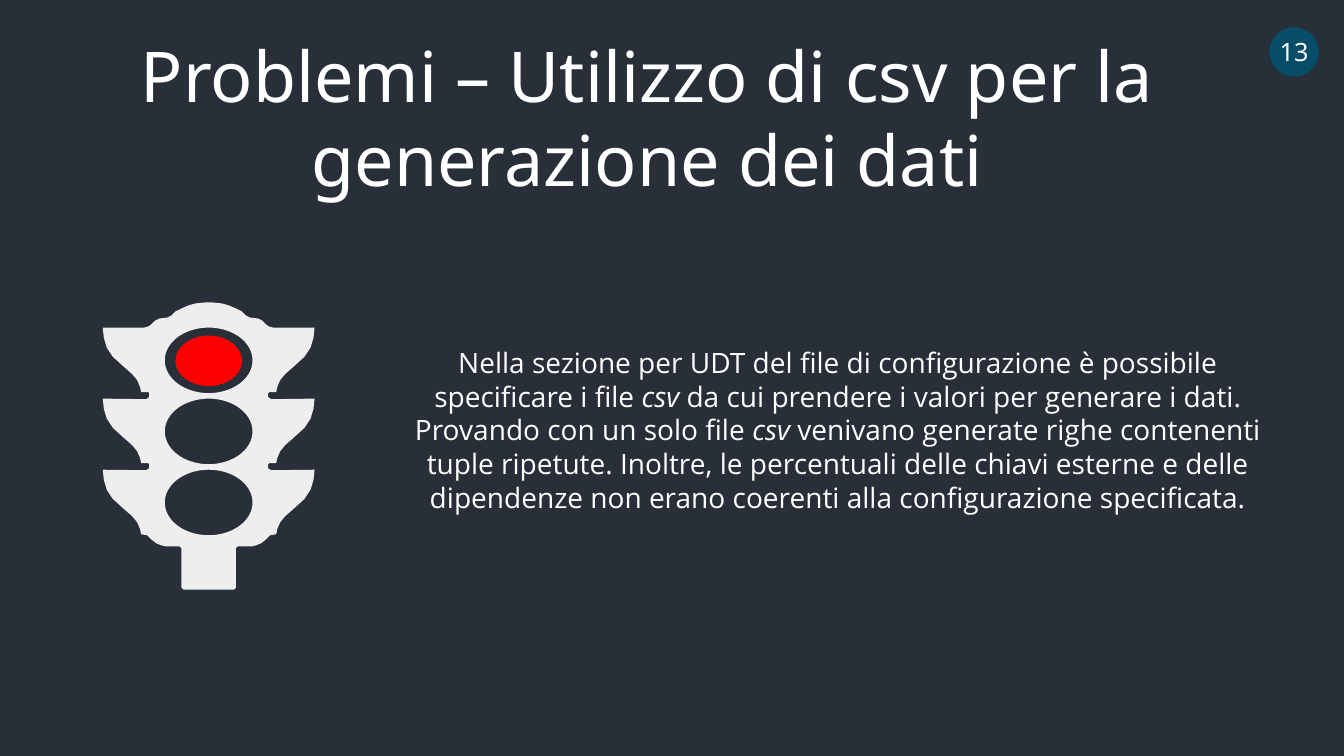
"""Build a slide about a csv data generation problem, with a red traffic light."""
from math import cos, pi, sin

from pptx import Presentation
from pptx.dml.color import RGBColor
from pptx.enum.shapes import MSO_SHAPE
from pptx.enum.text import MSO_ANCHOR, PP_ALIGN
from pptx.util import Inches, Pt

NIGHT = RGBColor(0x28, 0x2F, 0x39)
WHITE = RGBColor(0xFF, 0xFF, 0xFF)
HOUSING = RGBColor(0xEE, 0xEE, 0xEE)
RED = RGBColor(0xFF, 0x00, 0x00)
TEAL = RGBColor(0x07, 0x4D, 0x67)

TITLE = "Problemi – Utilizzo di csv per la generazione dei dati"
EXPLANATION = [
    [("Nella sezione per UDT del file di configurazione è possibile "
      "specificare i file ", False),
     ("csv ", True),
     ("da cui prendere i valori per generare i dati.", False)],
    [("Provando con un solo file ", False),
     ("csv ", True),
     ("venivano generate righe contenenti tuple ripetute. Inoltre, le "
      "percentuali delle chiavi esterne e delle dipendenze non erano "
      "coerenti alla configurazione specificata.", False)],
]

AXIS = 2.07
TIERS = [3.25 + 0.705 * tier for tier in range(3)]
DOME = [(0.03, 3), (0.13, 3.01), (0.2, 3.03), (0.27, 3.06), (0.33, 3.09),
        (0.37, 3.13), (0.41, 3.15), (0.49, 3.16), (0.53, 3.18),
        (0.57, 3.22), (0.6, 3.24), (0.64, 3.25)]
WING = [(1.05, 0), (1.04, 0.1), (1.01, 0.2), (0.95, 0.29), (0.84, 0.39),
        (0.76, 0.46), (0.71, 0.52), (0.68, 0.59), (0.67, 0.64)]
NOTCH = [(0.6, 0.64), (0.59, 0.65), (0.59, 0.69), (0.62, 0.71)]
POST = [(0.61, 5.31), (0.57, 5.35), (0.52, 5.39), (0.47, 5.41),
        (0.43, 5.42), (0.29, 5.42), (0.27, 5.44), (0.27, 5.83), (0.25, 5.85)]


def write(shape, paragraphs, **font_format):
    """Fill a shape with centred paragraphs of (text, italic) runs."""
    frame = shape.text_frame
    color = font_format.pop("color", WHITE)
    for index, runs in enumerate(paragraphs):
        paragraph = frame.add_paragraph() if index else frame.paragraphs[0]
        paragraph.alignment = PP_ALIGN.CENTER
        for text, italic in runs:
            run = paragraph.add_run()
            run.text = text
            run.font.color.rgb = color
            for key, value in {**font_format, "italic": italic}.items():
                setattr(run.font, key, value)


def add_text(slide, box, paragraphs, **font_format):
    """Add a wrapping text box."""
    passage = slide.shapes.add_textbox(*map(Inches, box))
    passage.text_frame.word_wrap = True
    write(passage, paragraphs, **font_format)


def paint(shape, color):
    """Give a shape a flat fill without outline or shadow."""
    shape.shadow.inherit = False
    shape.fill.solid()
    shape.fill.fore_color.rgb = color
    shape.line.fill.background()


def add_disc(shapes, box, color):
    """Add a flat ellipse."""
    disc = shapes.add_shape(MSO_SHAPE.OVAL, *map(Inches, box))
    paint(disc, color)
    return disc


def housing_outline():
    """Return the outline of the housing, mirrored about its axis."""
    half = list(DOME)
    for top in TIERS:
        parts = WING if top == TIERS[-1] else WING + NOTCH
        half += [(reach, top + drop) for reach, drop in parts]
    half += POST
    right = [(AXIS + reach, y) for reach, y in half]
    left = [(AXIS - reach, y) for reach, y in reversed(half)]
    return right + left


def lens_opening(top, steps=72):
    """Return the points of the elliptical opening in one tier."""
    angles = [-2 * pi * step / steps for step in range(steps)]
    return [(AXIS + 0.435 * cos(angle), top + 0.325 + 0.325 * sin(angle))
            for angle in angles]


def add_traffic_light(slide):
    """Add the traffic light with only its top lamp lit."""
    light = slide.shapes.add_group_shape().shapes
    contours = [housing_outline()] + [lens_opening(top) for top in TIERS]
    contours = [[(Inches(x), Inches(y)) for x, y in contour]
                for contour in contours]
    builder = light.build_freeform(*contours[0][0])
    builder.add_line_segments(contours[0][1:])
    for opening in contours[1:]:
        builder.move_to(*opening[0])
        builder.add_line_segments(opening[1:])
    paint(builder.convert_to_shape(), HOUSING)
    for top, color in ((3.33, RED), (4.02, NIGHT), (4.75, NIGHT)):
        add_disc(light, (1.74, top, 0.66, 0.5), color)


def add_page_number(slide, number):
    """Add the round page number badge."""
    badge = add_disc(slide.shapes, (12.59, 0.27, 0.49, 0.49), TEAL)
    badge.text_frame.word_wrap = False
    badge.text_frame.vertical_anchor = MSO_ANCHOR.MIDDLE
    write(badge, [[(number, False)]], name="Noto Sans", size=Pt(18))


def main():
    """Build and save the slide."""
    deck = Presentation()
    deck.slide_width, deck.slide_height = Inches(13.33), Inches(7.5)
    slide = deck.slides.add_slide(deck.slide_layouts[6])
    slide.background.fill.solid()
    slide.background.fill.fore_color.rgb = NIGHT
    add_text(slide, (0, 0.27, 12.84, 1.78), [[(TITLE, False)]],
             name="Noto Sans", size=Pt(50))
    add_traffic_light(slide)
    add_page_number(slide, "13")
    add_text(slide, (3.78, 3.38, 9.06, 1.78), EXPLANATION,
             name="Open Sans", size=Pt(20))
    deck.save("out.pptx")


main()
